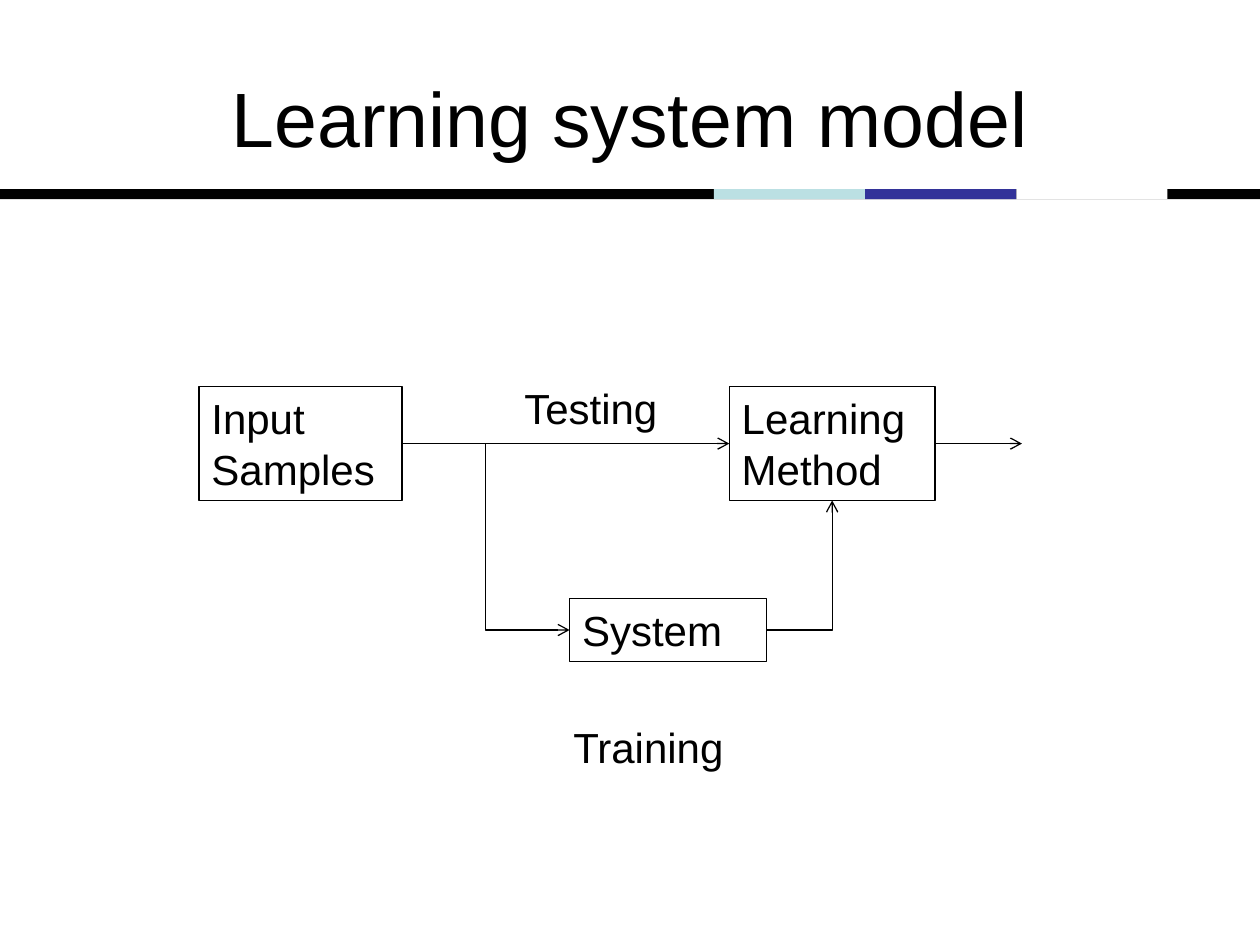
"""Build the learning system model slide."""
from typing import NamedTuple

from lxml.etree import SubElement as Sub
from pptx import Presentation
from pptx.dml.color import RGBColor as Rgb
from pptx.enum.shapes import MSO_CONNECTOR as Link, MSO_SHAPE as Kind
from pptx.enum.text import MSO_ANCHOR as Anchor, MSO_AUTO_SIZE as Fit, PP_ALIGN as Align
from pptx.oxml.ns import qn
from pptx.util import Pt

INK = {"black": "000000", "aqua": "BBE0E3", "navy": "333399", "white": "FFFFFF"}


class Box(NamedTuple):
    """A labelled area, framed or plain."""
    text: str
    left: float
    top: float
    width: float
    high: float
    framed: bool = True

    @property
    def right(self) -> float:
        return self.left + self.width

    @property
    def mid(self) -> float:
        return self.top + self.high / 2


class Arrow(NamedTuple):
    """An arrow between two points with an optional bent form."""
    start: tuple[float, float]
    end: tuple[float, float]
    bend: str = ""


def tint(name: str) -> Rgb:
    return Rgb.from_string(INK[name])


def paint(shape, name: str) -> None:
    shape.shadow.inherit = False
    shape.fill.solid()
    shape.fill.fore_color.rgb = tint(name)


def style(para, size: float, align: Align) -> None:
    para.alignment = align
    para.font.name, para.font.size = "Arial", Pt(size)
    para.font.color.rgb = tint("black")


def draw_bar(slide, name: str, left: float, width: float) -> None:
    bar = slide.shapes.add_shape(Kind.RECTANGLE, Pt(left), Pt(108), Pt(width), Pt(5.75))
    paint(bar, name)
    bar.line.fill.background()


def draw_box(slide, box: Box) -> None:
    area = [Pt(n) for n in box[1:5]]
    if box.framed:
        shape = slide.shapes.add_shape(Kind.RECTANGLE, *area)
        paint(shape, "white")
        shape.line.color.rgb = tint("black")
        shape.line.width = Pt(0.75)
    else:
        shape = slide.shapes.add_textbox(*area)
    frame = shape.text_frame
    frame.text = box.text
    frame.word_wrap = True
    frame.auto_size = Fit.SHAPE_TO_FIT_TEXT
    frame.vertical_anchor = Anchor.TOP
    style(frame.paragraphs[0], 24, Align.LEFT)


def draw_arrow(slide, arrow: Arrow) -> None:
    kind = Link.ELBOW if arrow.bend else Link.STRAIGHT
    ends = [Pt(n) for n in arrow.start + arrow.end]
    link = slide.shapes.add_connector(kind, *ends)
    link.line.color.rgb = tint("black")
    link.line.width = Pt(0.75)
    props = link._element.spPr
    if arrow.bend:
        props.find(qn("a:prstGeom")).set("prst", arrow.bend)
    Sub(props.find(qn("a:ln")), qn("a:tailEnd"), type="arrow")
    Sub(props, qn("a:effectLst"))


def main() -> None:
    deck = Presentation()
    deck.slide_width, deck.slide_height = Pt(720), Pt(540)
    slide = deck.slides.add_slide(deck.slide_layouts[5])

    title = slide.shapes.title
    title.left, title.top, title.width, title.height = Pt(36), Pt(21.6), Pt(648), Pt(90)
    title.text_frame.text = "Learning system model"
    title.text_frame.vertical_anchor = Anchor.MIDDLE
    style(title.text_frame.paragraphs[0], 44, Align.CENTER)

    draw_bar(slide, "black", 0, 720)
    for i, name in enumerate(("aqua", "navy", "white")):
        draw_bar(slide, name, 408 + 86.4 * i, 86.4)

    data = Box("Input Samples", 113.75, 221, 116, 65)
    learn = Box("Learning Method", 416.75, 221, 117.5, 65)
    system = Box("System", 325.5, 342, 112.5, 36)
    train = Box("Training", 320.5, 409, 101.5, 36, False)
    test = Box("Testing", 292.5, 215.25, 101.5, 36, False)
    for box in (data, learn, system, train, test):
        draw_box(slide, box)

    foot = (learn.left + learn.width / 2, learn.top + learn.high)
    for arrow in (
        Arrow((data.right, data.mid), (system.left, system.mid), "bentConnector3"),
        Arrow((269.25, data.mid), (learn.left, learn.mid)),
        Arrow((learn.right, learn.mid), (584, learn.mid)),
        Arrow((system.right, system.mid), foot, "bentConnector2"),
    ):
        draw_arrow(slide, arrow)

    deck.save("out.pptx")


if __name__ == "__main__":
    main()
